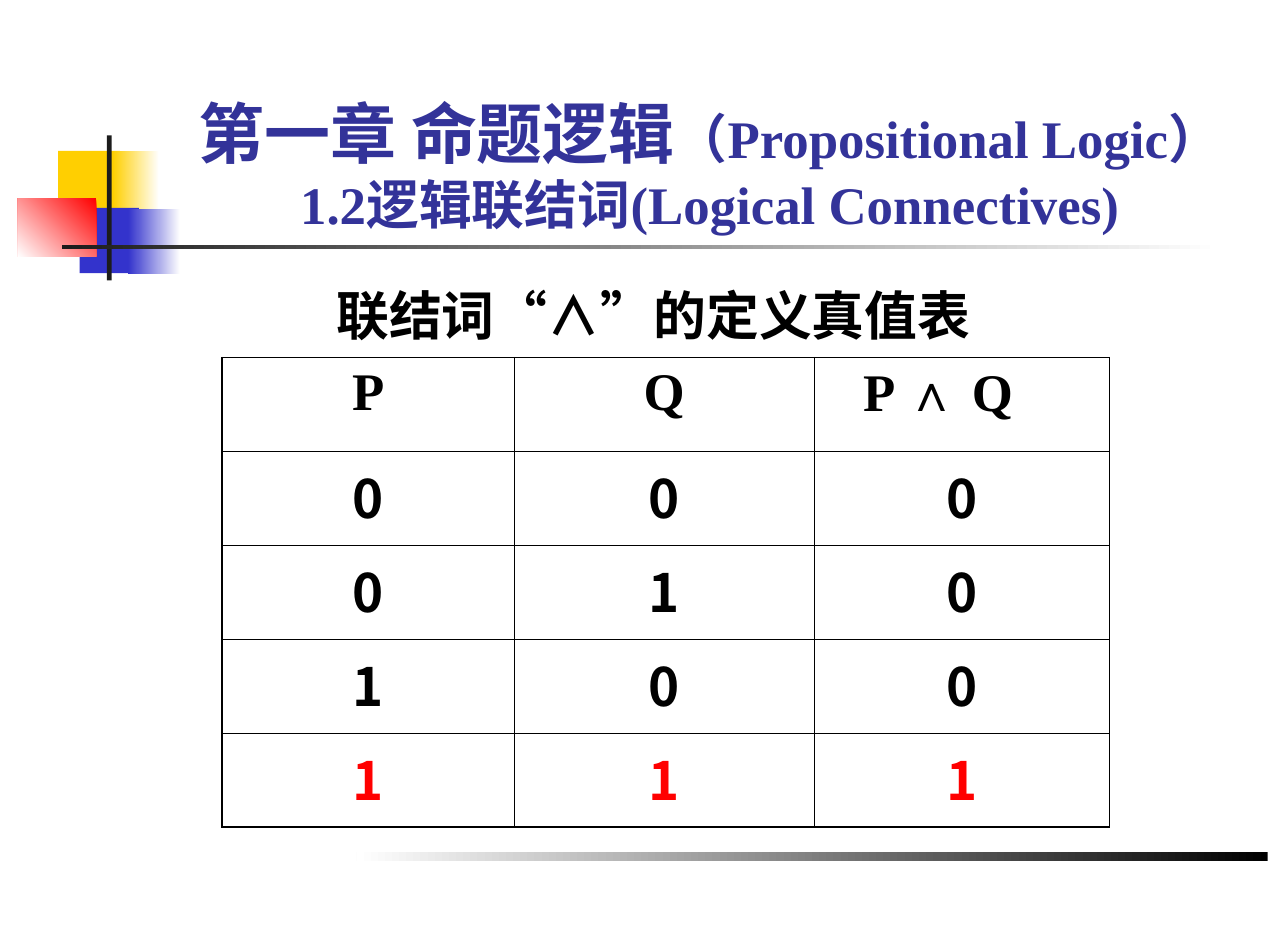
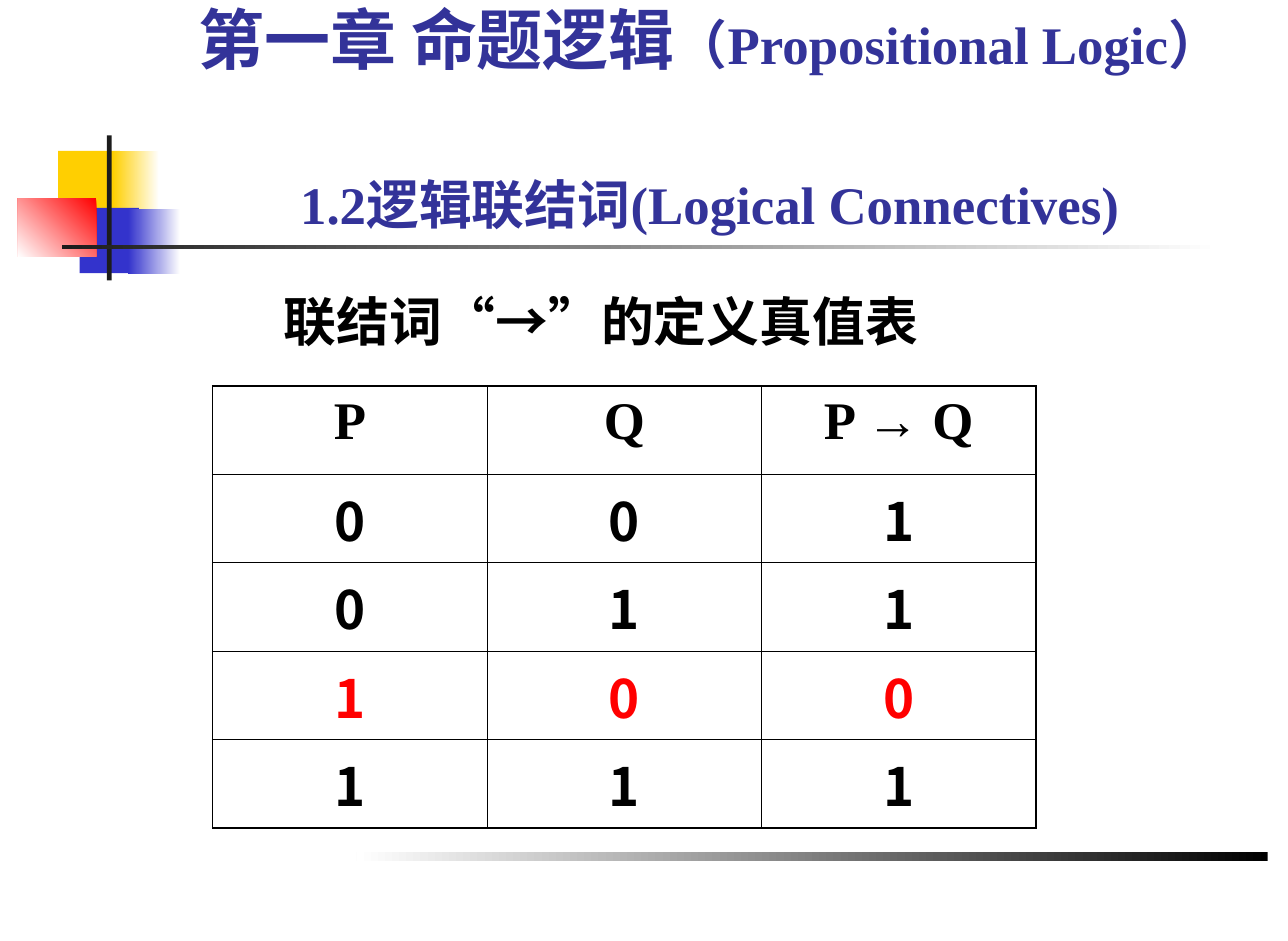
from lxml import etree
from pptx import Presentation
from pptx import util as u
from pptx.dml import color
from pptx.enum import shapes, text
from pptx.oxml import ns

SERIF, SANS, CJK = "Times New Roman", "Cabin", "Noto Sans CJK SC"
BLACK, RED, INDIGO = "000000", "FF0000", "333399"
THICK, THIN = 1.08, 0.45

TITLE_AT = (1.36, 0.71, 9.23, 1.32)
TITLE_LINES = [
    [("第一章 命题逻辑", 40, SANS), ("（Propositional Logic）", 32, SERIF)],
    [("1.2逻辑联结词(Logical Connectives)", 32, SERIF)],
]
BANDS = [
    ((0.49, 1.27, 0.52, 0.55), ["FFCF01"], 0),
    ((0.95, 1.27, 0.39, 0.55), ["FFFFFF", "FFCF01"], 180),
    ((0.67, 1.75, 0.5, 0.55), ["3333CC"], 0),
    ((1.08, 1.76, 0.44, 0.55), ["FFFFFF", "3333CC"], 180),
    ((0.15, 1.67, 0.66, 0.49), ["FF0000", "FFFFFF"], 225),
    ((0.9, 1.14, 0.04, 1.22), ["1C1C1C"], 0),
    ((0.52, 2.06, 9.75, 0.04), ["FFFFFF", "1C1C1C"], 180),
    ((3, 7.17, 7.67, 0.08), ["000000", "FFFFFF"], 180),
]
SLIDES = [
    {
        "title_gap": 0,
        "caption_at": (1.4, 2.33, 9.21, 5.34),
        "caption_indent": 1.33,
        "symbol": ("∧", CJK),
        "table_at": (1.87, 3.01),
        "columns": [2.46, 2.52, 2.49],
        "row_height": 0.79,
        "header": [("P", SERIF)], 
        "formula": [("P ", SERIF), ("∧", "Arial"), (" Q", SERIF)],
        "formula_margin": 0.5,
        "rows": ["000", "010", "100", "111"],
        "red_row": 4,
    },
    {
        "title_gap": 57,
        "caption_at": (0.61, 2.38, 9.59, 0.93),
        "caption_indent": 1.68,
        "symbol": ("→", "Arial"),
        "table_at": (1.79, 3.25),
        "columns": [2.31, 2.31, 2.31],
        "row_height": 0.74,
        "formula": [("P → Q", SERIF)],
        "formula_margin": 0.1,
        "rows": ["001", "011", "100", "111"],
        "red_row": 3,
    },
]


def rgb(value):
    return color.RGBColor.from_string(value)


def inches(values):
    return [u.Inches(value) for value in values]


def place(shape, at):
    for name, value in zip(("left", "top", "width", "height"), inches(at)):
        setattr(shape, name, value)


def write(para, spans, tint):
    for words, size, face in spans:
        span = para.add_run()
        span.text = words
        for name, value in {"size": u.Pt(size), "name": face, "bold": True}.items():
            setattr(span.font, name, value)
        span.font.color.rgb = rgb(tint)


def add_bands(slide, master):
    for index, (at, tints, angle) in enumerate(BANDS):
        band = slide.shapes.add_shape(shapes.MSO_SHAPE.RECTANGLE, *inches(at))
        band.shadow.inherit = False
        band.line.fill.background()
        if len(tints) == 1:
            band.fill.solid()
            band.fill.fore_color.rgb = rgb(tints[0])
        else:
            band.fill.gradient()
            band.fill.gradient_angle = angle
            for stop, tint in zip(band.fill.gradient_stops, tints):
                stop.color.rgb = rgb(tint)
        master.shapes.element.insert(2 + index, band.element)


def add_title(slide, gap):
    frame = slide.shapes.title.text_frame
    frame.auto_size = text.MSO_AUTO_SIZE.NONE
    frame.vertical_anchor = text.MSO_ANCHOR.BOTTOM
    for index, spans in enumerate(TITLE_LINES):
        para = frame.add_paragraph() if index else frame.paragraphs[0]
        para.alignment = text.PP_ALIGN.CENTER
        para.space_before = u.Pt(gap * index)
        write(para, spans, INDIGO)


def add_caption(slide, content):
    box = slide.placeholders[1]
    place(box, content["caption_at"])
    box.text_frame.auto_size = text.MSO_AUTO_SIZE.NONE
    para = box.text_frame.paragraphs[0]
    para.space_before = u.Pt(0)
    spans = [("联结词“", SERIF), content["symbol"], ("”的定义真值表", SERIF)]
    write(para, [(words, 32, face) for words, face in spans], BLACK)
    props = box.element.find(".//" + ns.qn("a:pPr"))
    props.set("marL", str(u.Inches(content["caption_indent"])))
    props.set("indent", "0")
    etree.SubElement(props, ns.qn("a:buNone"))


def add_border(props, position, side, width):
    line = etree.Element(ns.qn("a:ln" + side), w=str(u.Pt(width)))
    fill = etree.SubElement(line, ns.qn("a:solidFill"))
    etree.SubElement(fill, ns.qn("a:srgbClr"), val=BLACK)
    props.insert(position, line)


def add_truth_table(slide, content):
    header = [[("P", SERIF)], [("Q", SERIF)], content["formula"]]
    grid = [header] + [[[(digit, CJK)] for digit in row] for row in content["rows"]]
    row_count, column_count = len(grid), len(header)
    size = (sum(content["columns"]), content["row_height"] * row_count)
    frame = slide.shapes.add_table(row_count, column_count, *inches(content["table_at"] + size))
    table = frame.table
    table.first_row = table.horz_banding = False
    for column, width in zip(table.columns, content["columns"]):
        column.width = u.Inches(width)
    for row, values in enumerate(grid):
        for column, spans in enumerate(values):
            cell = table.cell(row, column)
            cell.fill.background()
            para = cell.text_frame.paragraphs[0]
            para.alignment = text.PP_ALIGN.CENTER
            tint = RED if row == content["red_row"] else BLACK
            write(para, [(words, 32, face) for words, face in spans], tint)
    table.cell(0, column_count - 1).margin_right = u.Inches(content["formula_margin"])
    for index, props in enumerate(frame.element.iter(ns.qn("a:tcPr"))):
        row, column = divmod(index, column_count)
        outer = {
            "L": column == 0,
            "R": column == column_count - 1,
            "T": row == 0,
            "B": row == row_count - 1,
        }
        for position, (side, is_outer) in enumerate(outer.items()):
            add_border(props, position, side, THICK if is_outer else THIN)


def set_east_asian_font(slide):
    for latin in list(slide.element.iter(ns.qn("a:latin"))):
        latin.addnext(etree.Element(ns.qn("a:ea"), typeface=CJK))


def main():
    deck = Presentation()
    deck.slide_width, deck.slide_height = inches((10.84, 7.92))
    layout = deck.slide_layouts[1]
    place(layout.placeholders[0], TITLE_AT)
    for index, content in enumerate(SLIDES):
        slide = deck.slides.add_slide(layout)
        if index == 0:
            add_bands(slide, deck.slide_master)
        add_title(slide, content["title_gap"])
        add_caption(slide, content)
        add_truth_table(slide, content)
        set_east_asian_font(slide)
    deck.save("out.pptx")


if __name__ == "__main__":
    main()
